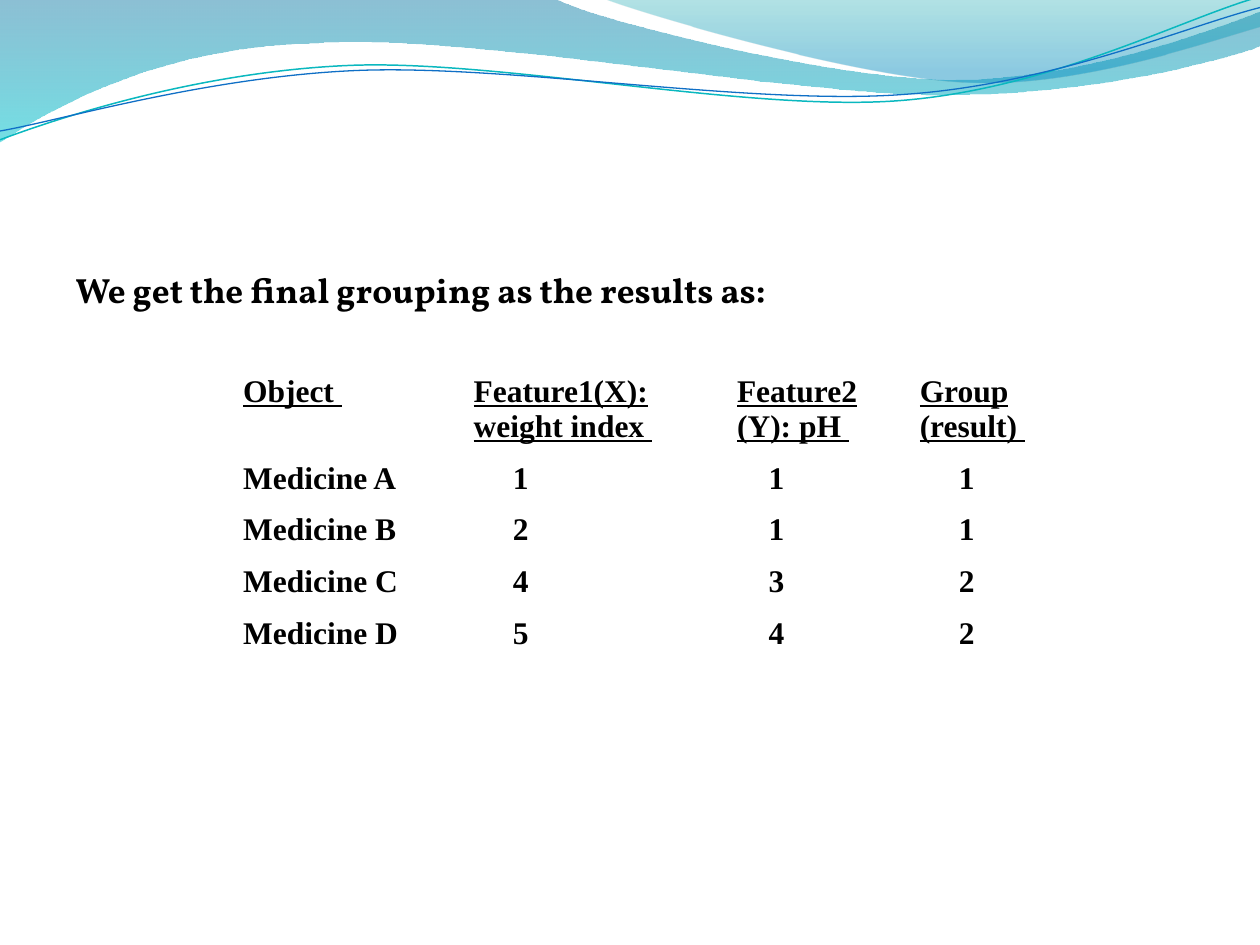
from lxml.etree import SubElement
from pptx import Presentation
from pptx.dml.color import RGBColor
from pptx.enum.text import MSO_ANCHOR, MSO_AUTO_SIZE, PP_ALIGN
from pptx.oxml.ns import qn
from pptx.util import Inches, Pt

WIDTH, HEIGHT = 10, 7.5
NO_GRID_STYLE = "{2D5ABB26-0587-4C30-8999-92F81FD0307C}"

WAVES = [
    {"start": (-0.01, -0.01),
     "parts": [[(4.4, -0.01)],
               [(4.76, 0.17), (6.64, 0.63), (7.58, 0.63)],
               [(8.53, 0.63), (9.58, 0.26), (10, 0.09)],
               [(10.01, 0.36)],
               [(9.83, 0.44), (8.7, 0.76), (7.46, 0.75)],
               [(6.22, 0.75), (3.82, 0.28), (2.57, 0.34)],
               [(1.29, 0.36), (0.46, 0.83), (-0.01, 1.13)]],
     "stops": [(0, "0074A1", 45), (1, "00C6CF", 55)]},
    {"start": (4.79, -0.01),
     "parts": [[(5.09, 0.11), (6.82, 0.62), (7.69, 0.65)],
               [(8.56, 0.69), (9.61, 0.32), (10, 0.21)],
               [(10, 0)]],
     "stops": [(0, "00A1A9", 30), (0.8, "008BBF", 45)]},
    {"start": (0, 1.11),
     "parts": [[(0.48, 0.93), (1.58, 0.57), (2.77, 0.52)],
               [(3.95, 0.47), (5.93, 0.89), (7.13, 0.8)],
               [(8.33, 0.71), (9.38, 0.15), (9.98, -0.02)]],
     "line": ("0AB8BF", 0.85)},
    {"start": (0, 1.04),
     "parts": [[(0.47, 0.96), (1.64, 0.61), (2.83, 0.56)],
               [(4.03, 0.51), (5.97, 0.84), (7.17, 0.75)],
               [(8.36, 0.67), (9.41, 0.21), (10, 0.06)]],
     "line": ("0F6FC6", 0.75)},
]

HEADERS = [["Object "], ["Feature1(X):", "weight index "],
           ["Feature2", "(Y): pH "], ["Group", "(result) "]]
RESULTS = [("Medicine A", 1, 1, 1), ("Medicine B", 2, 1, 1),
           ("Medicine C", 4, 3, 2), ("Medicine D", 5, 4, 2)]
COLUMN_WIDTHS = [1.83, 2.09, 1.45, 1.63]
ROW_HEIGHTS = [0.69] + [0.41] * len(RESULTS)
VALUE_INDENTS = [0, 0.31, 0.25, 0.31]


def color(hex_string):
    """Return the colour for a hex string."""
    return RGBColor.from_string(hex_string)


def format_font(font, **changes):
    """Apply the slide's bold black text format with the given changes."""
    font.color.rgb = color("000000")
    for name, value in {"bold": True, **changes}.items():
        setattr(font, name, value)


def bend(shape, parts):
    """Turn each run of three segments into one cubic curve."""
    segments = iter(list(shape._element.iter(qn("a:lnTo"))))
    for part in parts:
        segment = next(segments)
        if len(part) == 3:
            segment.tag = qn("a:cubicBezTo")
            for follower in (next(segments), next(segments)):
                segment.append(follower[0])
                follower.getparent().remove(follower)


def fill_gradient(shape, stops):
    """Fill a shape from top to bottom with translucent colours."""
    shape.fill.gradient()
    shape.fill.gradient_angle = 270
    for stop, (position, hex_string, _) in zip(shape.fill.gradient_stops, stops):
        stop.position = position
        stop.color.rgb = color(hex_string)
    for node, (_, _, opacity) in zip(shape._element.spPr.iter(qn("a:srgbClr")), stops):
        SubElement(node, qn("a:alpha")).set("val", str(opacity * 1000))


def add_wave(slide, left, top, wave):
    """Draw one filled band or one open line of the header."""
    points = [(Inches(left + x), Inches(top + y))
              for part in [[wave["start"]], *wave["parts"]] for x, y in part]
    builder = slide.shapes.build_freeform(*points[0])
    builder.add_line_segments(points[1:], close="stops" in wave)
    shape = builder.convert_to_shape()
    bend(shape, wave["parts"])
    shape.shadow.inherit = False
    if "stops" in wave:
        fill_gradient(shape, wave["stops"])
        shape.line.fill.background()
    else:
        hex_string, width = wave["line"]
        shape.fill.background()
        shape.line.color.rgb = color(hex_string)
        shape.line.width = Pt(width)


def add_heading(slide, left, top, width, height):
    """Place and format the title placeholder."""
    title = slide.shapes.title
    box = {"left": left, "top": top, "width": width, "height": height}
    for name, value in box.items():
        setattr(title, name, Inches(value))
    frame = title.text_frame
    frame.text = "We get the final grouping as the results as:"
    frame.auto_size = MSO_AUTO_SIZE.NONE
    frame.vertical_anchor = MSO_ANCHOR.TOP
    paragraph = frame.paragraphs[0]
    paragraph.alignment = PP_ALIGN.LEFT
    format_font(paragraph.runs[0].font, name="Vollkorn", size=Pt(20))


def fill_cell(cell, lines, indent, underline):
    """Write lines into a cell with a left indent."""
    cell.fill.background()
    cell.text = "\n".join(lines)
    for paragraph in cell.text_frame.paragraphs:
        paragraph.alignment = PP_ALIGN.JUSTIFY
        paragraph._p.get_or_add_pPr().set("marL", str(Inches(indent)))
        format_font(paragraph.runs[0].font, name="Times New Roman",
                    size=Pt(18), underline=underline)


def add_results(slide, left, top):
    """Add the table of medicines, features and groups."""
    table = slide.shapes.add_table(
        len(ROW_HEIGHTS), len(COLUMN_WIDTHS), Inches(left), Inches(top),
        Inches(sum(COLUMN_WIDTHS)), Inches(sum(ROW_HEIGHTS))).table
    table.horz_banding = False
    table._tbl.tblPr.find(qn("a:tableStyleId")).text = NO_GRID_STYLE
    for column, width in zip(table.columns, COLUMN_WIDTHS):
        column.width = Inches(width)
    for row, height in zip(table.rows, ROW_HEIGHTS):
        row.height = Inches(height)
    for index, lines in enumerate(HEADERS):
        fill_cell(table.cell(0, index), lines, 0, True)
    for row, values in enumerate(RESULTS, 1):
        for index, value in enumerate(values):
            fill_cell(table.cell(row, index), [str(value)], VALUE_INDENTS[index], False)


def main():
    """Build and save the slide."""
    presentation = Presentation()
    presentation.slide_width = Inches(WIDTH)
    presentation.slide_height = Inches(HEIGHT)
    slide = presentation.slides.add_slide(presentation.slide_layouts[5])
    for wave in WAVES:
        add_wave(slide, 0, 0, wave)
    add_results(slide, 1.83, 2.92)
    add_heading(slide, 0.5, 2.08, 8, 0.43)
    presentation.save("out.pptx")


main()
